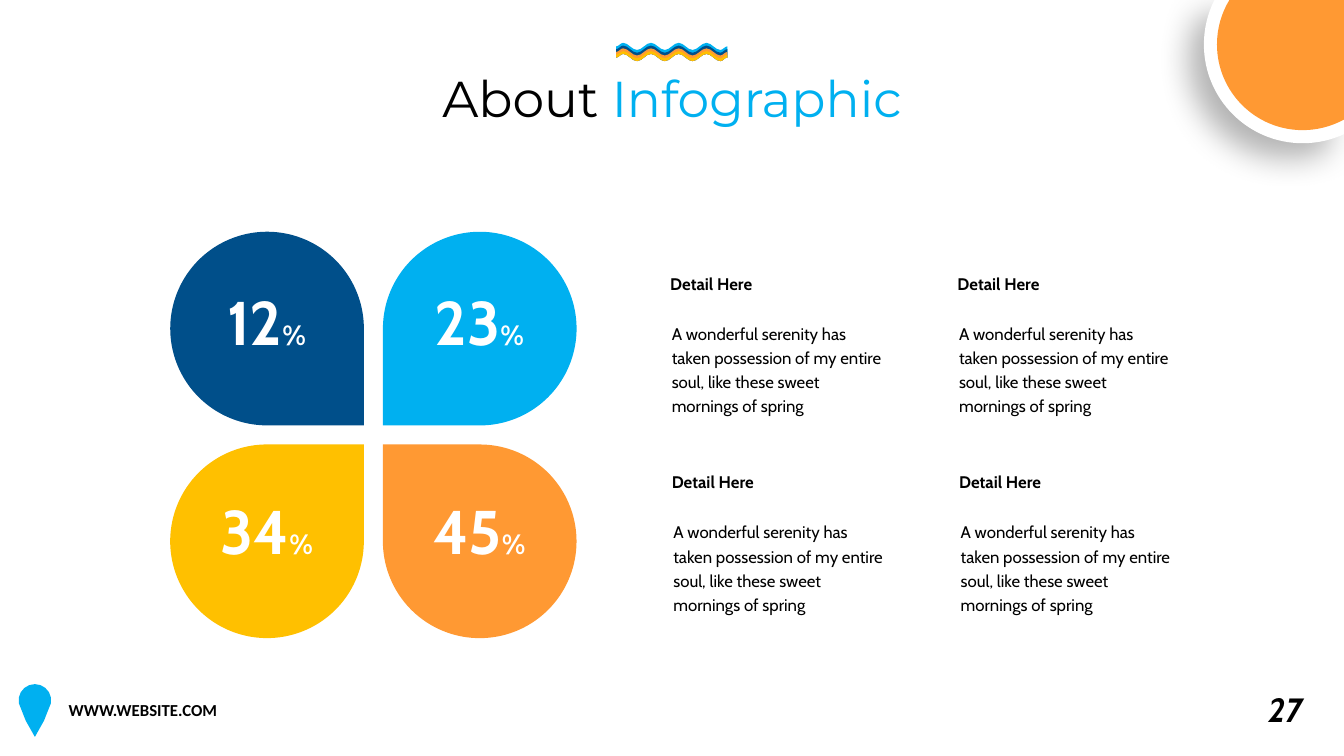
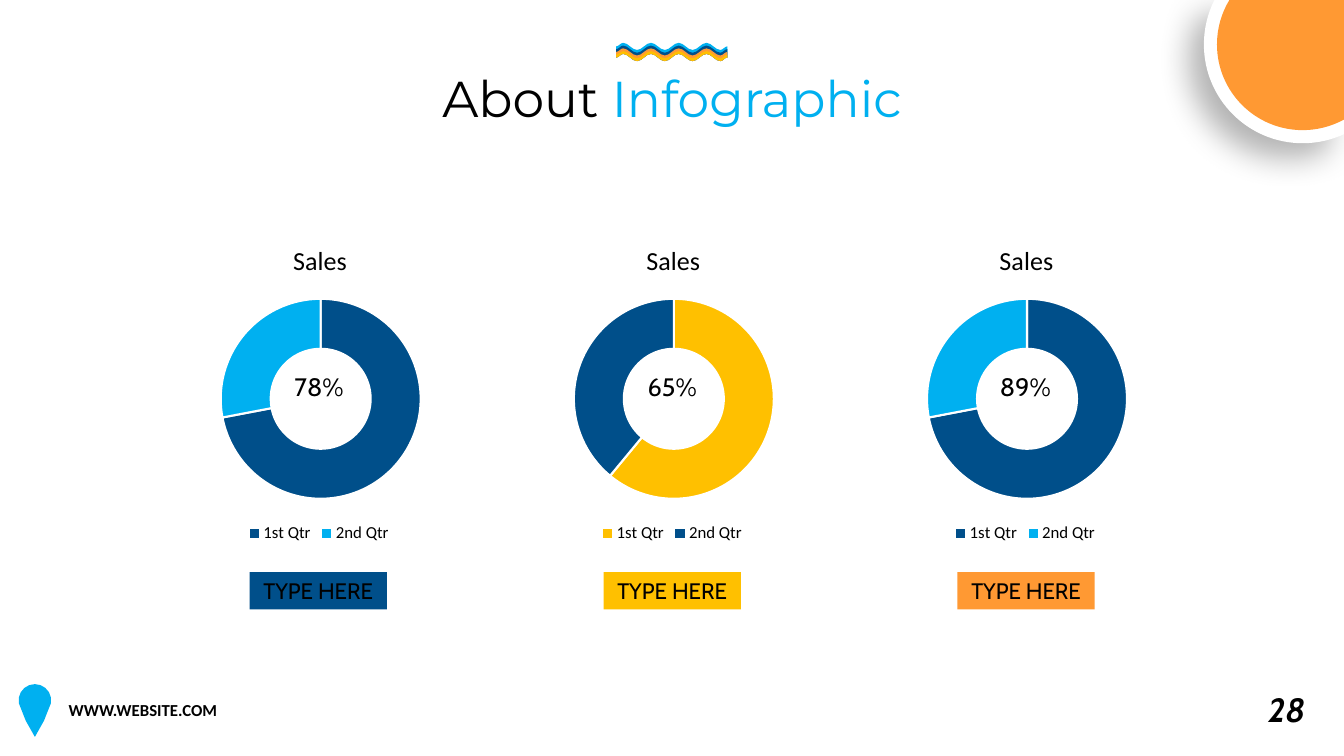
from math import acos, asin, cos, pi, radians, sin, tan

from pptx import Presentation
from pptx.chart.data import CategoryChartData
from pptx.dml.color import RGBColor
from pptx.enum.chart import XL_CHART_TYPE as ChartType, XL_LEGEND_POSITION as LegendPosition
from pptx.enum.shapes import MSO_SHAPE as Shape
from pptx.enum.text import MSO_ANCHOR as Anchor, MSO_AUTO_SIZE as AutoSize, PP_ALIGN as Align
from pptx.oxml import parse_xml
from pptx.oxml.ns import nsdecls, qn
from pptx.util import Cm, Pt

# Shared look
NAVY = RGBColor(0x00, 0x4F, 0x8A)
SKY = RGBColor(0x00, 0xB0, 0xF0)
YELLOW = RGBColor(0xFF, 0xC0, 0x00)
ORANGE = RGBColor(0xFF, 0x99, 0x33)
BLACK = RGBColor(0x00, 0x00, 0x00)
WHITE = RGBColor(0xFF, 0xFF, 0xFF)
BODY_FONT = "Cabin"
TITLE_FONT = "Montserrat"
PLAIN_FONT = "Calibri"
SLIDE_WIDTH = 33.87


def add_outline(slide, start, segments, color):
    """Draw a filled outline in centimetres; a segment of one point is a line, of three a curve."""
    builder = slide.shapes.build_freeform(Cm(start[0]), Cm(start[1]))
    builder.add_line_segments([(Cm(x), Cm(y)) for segment in segments for x, y in segment])
    shape = builder.convert_to_shape()
    lines = shape.element.findall(".//" + qn("a:lnTo"))
    for segment in segments:
        first, *others = [lines.pop(0) for point in segment]
        if others:
            first.tag = qn("a:cubicBezTo")
            for line in others:
                first.append(line[0])
                line.getparent().remove(line)
    shape.shadow.inherit = False
    shape.fill.solid()
    shape.fill.fore_color.rgb = color
    shape.line.fill.background()
    return shape


def write_text(shape, runs, font=BODY_FONT, align=Align.LEFT, bold=False, italic=False, spacing=1.0):
    """Fill a shape with one paragraph of (text, size, color) runs."""
    text_frame = shape.text_frame
    text_frame.word_wrap = True
    text_frame.auto_size = AutoSize.NONE
    paragraph = text_frame.paragraphs[0]
    paragraph.alignment = align
    paragraph.line_spacing = spacing
    for text, size, color in runs:
        run = paragraph.add_run()
        run.text = text
        run.font.name = font
        run.font.size = Pt(size)
        run.font.color.rgb = color
        run.font.bold = bold
        run.font.italic = italic


presentation = Presentation()
presentation.slide_width = Cm(SLIDE_WIDTH)
presentation.slide_height = Cm(19.05)
title_only = presentation.slide_layouts[5]

# Title, ornaments and footer on every slide
for number in (27, 28):
    slide = presentation.slides.add_slide(title_only)
    title = slide.shapes.title
    title.left, title.top, title.width, title.height = Cm(10.42), Cm(1.55), Cm(13.03), Cm(1.8)
    write_text(title, [("About ", 36, BLACK), ("Infographic", 36, SKY)], TITLE_FONT, Align.CENTER)

    # Wave of four bands with a common lower edge
    wave_left, half_period, amplitude, wave_bottom = 15.53, 0.35, 0.09, 1.45
    crests = [(wave_left + half_period * (step + 0.5), -amplitude if step % 2 == 0 else amplitude)
              for step in range(8)]
    knots = [(wave_left, 0), *crests, (wave_left + 8 * half_period, 0)]
    for band, color in enumerate((SKY, NAVY, ORANGE, YELLOW)):
        segments = []
        for edge, level in ((knots, 1.17 + 0.07 * band), (knots[::-1], wave_bottom)):
            if segments:
                segments.append([(edge[0][0], level)])
            for (x1, y1), (x2, y2) in zip(edge, edge[1:]):
                bend = 0.37 * (x2 - x1)
                segments.append([(x1 + bend, level + y1), (x2 - bend, level + y2), (x2, level + y2)])
        add_outline(slide, (wave_left, 1.17 + 0.07 * band), segments, color)

    # Corner disc with a white rim, cut off at the slide edges
    disc_x, disc_y = 32.83, 1.12
    for radius, color in ((2.49, WHITE), (2.16, ORANGE)):
        angles = [acos((SLIDE_WIDTH - disc_x) / radius), pi / 2, pi, pi + asin(disc_y / radius)]
        rim = [(disc_x + radius * cos(a), disc_y + radius * sin(a)) for a in angles]
        segments = [[rim[0]]]
        for index in range(3):
            a, b = angles[index:index + 2]
            (x1, y1), (x2, y2) = rim[index:index + 2]
            reach = radius * 4 / 3 * tan((b - a) / 4)
            segments.append([(x1 - reach * sin(a), y1 + reach * cos(a)),
                             (x2 + reach * sin(b), y2 - reach * cos(b)), (x2, y2)])
        disc = add_outline(slide, (SLIDE_WIDTH, 0), segments, color)
        if color == WHITE:
            effects = disc.element.spPr.find(qn("a:effectLst"))
            effects.append(parse_xml(
                f'<a:outerShdw {nsdecls("a")} blurRad="{Pt(23)}" dist="{Pt(15)}" dir="8100000" '
                'algn="tr" rotWithShape="0"><a:srgbClr val="000000"><a:alpha val="29000"/>'
                '</a:srgbClr></a:outerShdw>'))

    # Footer: pin, address and page number
    pin_x, pin_y, pin_radius = 0.88, 17.65, 0.41
    head = [(pin_x + pin_radius * cos(radians(a)), pin_y + pin_radius * sin(radians(a)))
            for a in range(170, 371, 20)]
    tail = [(pin_x + 0.23, 18.16), (pin_x, 18.57), (pin_x - 0.23, 18.16)]
    add_outline(slide, head[0], [[point] for point in head[1:] + tail], SKY)
    address = slide.shapes.add_textbox(Cm(1.48), Cm(17.51), Cm(6.43), Cm(0.76))
    write_text(address, [("WWW.WEBSITE.COM", 12, BLACK)], PLAIN_FONT, bold=True)
    page = slide.shapes.add_textbox(Cm(31.71), Cm(17.23), Cm(1.5), Cm(1.27))
    write_text(page, [(str(number), 24, BLACK)], bold=True, italic=True)

petal_slide, chart_slide = presentation.slides

# Four petals with percentages
petals = [("12", NAVY, 90), ("23", SKY, 180), ("34", YELLOW, 0), ("45", ORANGE, 270)]
for index, (value, color, rotation) in enumerate(petals):
    row, column = divmod(index, 2)
    petal = petal_slide.shapes.add_shape(
        Shape.TEAR, Cm(4.29 + 5.36 * column), Cm(5.84 + 5.36 * row), Cm(4.88), Cm(4.88))
    petal.rotation = rotation
    petal.shadow.inherit = False
    petal.fill.solid()
    petal.fill.fore_color.rgb = color
    petal.line.fill.background()
    share = petal_slide.shapes.add_textbox(
        Cm(4.32 + 5.36 * column), Cm(7.04 + 5.26 * row), Cm(4.8), Cm(2.13))
    write_text(share, [(value, 44, WHITE), ("%", 20, WHITE)], align=Align.CENTER, bold=True)

# Two by two grid of details
DETAIL = ("A wonderful serenity has taken possession of my entire soul, "
          "like these sweet mornings of spring")
for index in range(4):
    row, column = divmod(index, 2)
    left = 16.64 + 7.24 * column + 0.04 * row
    top = 6.61 + 5 * row
    heading = petal_slide.shapes.add_textbox(Cm(left), Cm(top), Cm(5.82), Cm(0.86))
    write_text(heading, [("Detail Here", 12, BLACK)], bold=True, spacing=1.3)
    detail = petal_slide.shapes.add_textbox(Cm(left + 0.04), Cm(top + 1.32), Cm(5.82), Cm(2.67))
    write_text(detail, [(DETAIL, 12, BLACK)], spacing=1.2)

# Three doughnuts, each with a centre figure and a caption
doughnuts = [
    ((72, 28), (NAVY, SKY), "78%", NAVY),
    ((61, 39), (YELLOW, NAVY), "65%", YELLOW),
    ((72, 28), (NAVY, SKY), "89%", ORANGE),
]
for index, (values, slice_colors, figure, caption_color) in enumerate(doughnuts):
    offset = 8.9 * index
    chart_data = CategoryChartData()
    chart_data.categories = ["1st Qtr", "2nd Qtr"]
    chart_data.add_series("Series 1", values)
    chart = chart_slide.shapes.add_chart(
        ChartType.DOUGHNUT, Cm(3.76 + offset), Cm(5.66), Cm(8.56), Cm(8.13), chart_data).chart
    chart.font.name = PLAIN_FONT
    chart.font.size = Pt(10)
    chart.font.color.rgb = BLACK

    chart.has_title = True
    chart.chart_title.text_frame.text = "Sales"
    title_font = chart.chart_title.text_frame.paragraphs[0].runs[0].font
    title_font.name = PLAIN_FONT
    title_font.size = Pt(18.6)
    title_font.bold = False
    title_font.color.rgb = BLACK

    chart.has_legend = True
    chart.legend.position = LegendPosition.BOTTOM
    chart.legend.include_in_layout = False
    chart.legend.font.name = PLAIN_FONT
    chart.legend.font.size = Pt(12)
    chart.legend.font.color.rgb = BLACK

    for point_index, color in enumerate(slice_colors):
        point_format = chart.plots[0].series[0].points[point_index].format
        point_format.fill.solid()
        point_format.fill.fore_color.rgb = color
        point_format.line.color.rgb = WHITE
        point_format.line.width = Pt(1.5)

    # Ring width and fixed places for the title and the ring
    chart_space = chart.element
    next(chart_space.iter(qn("c:holeSize"))).set("val", "75")
    places = [("c:title", 1, {"x": 0.41, "y": 0.04}),
              ("c:plotArea", 0, {"x": 0.21, "y": 0.23, "w": 0.59, "h": 0.62})]
    for tag, position, place in places:
        parent = next(chart_space.iter(qn(tag)))
        for automatic in parent.findall(qn("c:layout")):
            parent.remove(automatic)
        target = '<c:layoutTarget val="inner"/>' if tag == "c:plotArea" else ""
        modes = "".join(f'<c:{side}Mode val="edge"/>' for side in "xy")
        sizes = "".join(f'<c:{side} val="{value}"/>' for side, value in place.items())
        parent.insert(position, parse_xml(
            f'<c:layout {nsdecls("c")}><c:manualLayout>{target}{modes}{sizes}'
            '</c:manualLayout></c:layout>'))

    caption = chart_slide.shapes.add_shape(
        Shape.RECTANGLE, Cm(6.29 + 8.92 * index), Cm(14.42), Cm(3.46), Cm(0.94))
    caption.shadow.inherit = False
    caption.fill.solid()
    caption.fill.fore_color.rgb = caption_color
    caption.line.fill.background()
    caption.text_frame.vertical_anchor = Anchor.MIDDLE
    write_text(caption, [("TYPE HERE", 16, BLACK)], align=Align.CENTER)
    centre = chart_slide.shapes.add_textbox(Cm(6.54 + offset), Cm(9.24), Cm(3), Cm(1.02))
    write_text(centre, [(figure, 18, BLACK)], align=Align.CENTER)

presentation.save("out.pptx")
